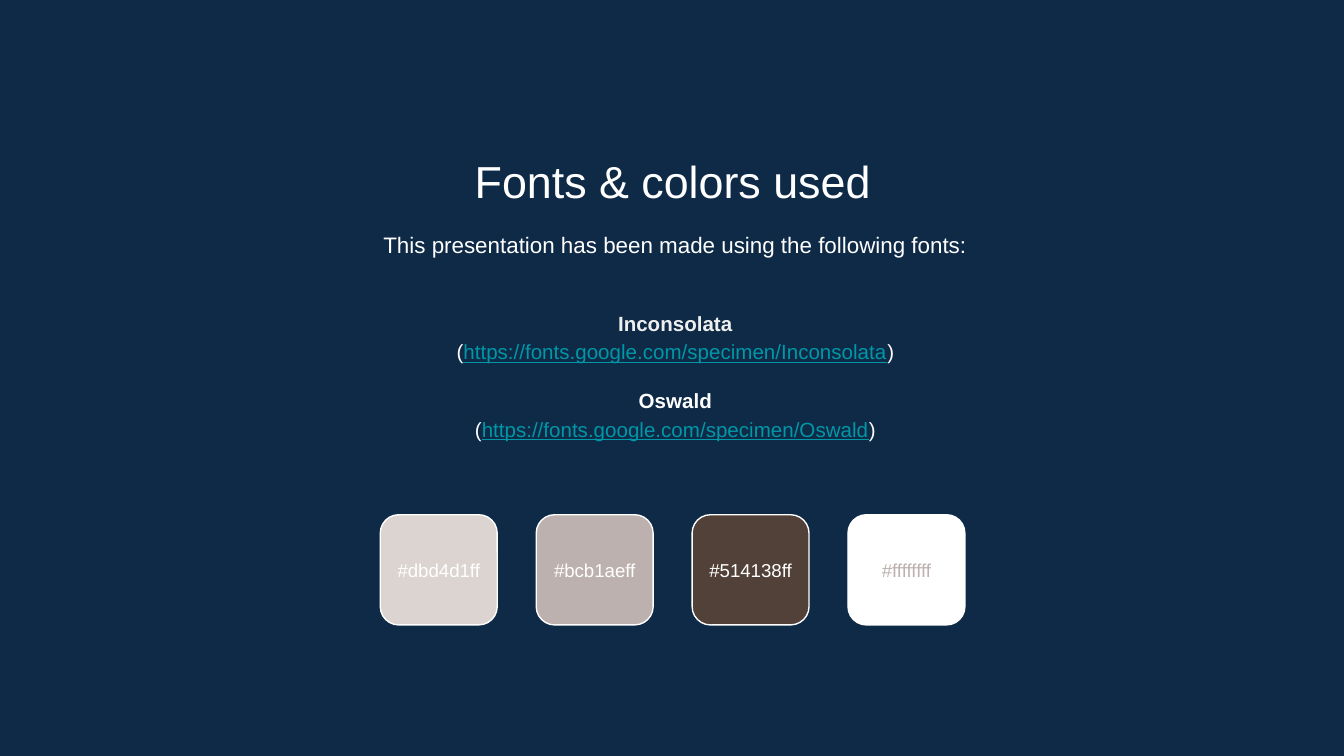
from dataclasses import dataclass

from lxml.etree import SubElement
from pptx import Presentation
from pptx.dml.color import RGBColor
from pptx.enum.shapes import MSO_SHAPE
from pptx.enum.text import MSO_ANCHOR, MSO_AUTO_SIZE, PP_ALIGN
from pptx.oxml.ns import qn
from pptx.util import Inches, Pt


@dataclass(frozen=True)
class Theme:
    font: str = "Arial"
    background: str = "0E2A47"
    white: str = "FFFFFF"
    soft_white: str = "EFEFEF"
    link: str = "0097A7"
    sand: str = "DBD4D1"
    taupe: str = "BCB1AE"
    brown: str = "514138"
    title_size: float = 24
    intro_size: float = 12
    list_size: float = 11
    label_size: float = 10


THEME = Theme()
FONTS = [
    ("Inconsolata", "https://fonts.google.com/specimen/Inconsolata", THEME.soft_white),
    ("Oswald", "https://fonts.google.com/specimen/Oswald", THEME.white),
]
SWATCHES = [
    (THEME.sand, THEME.white),
    (THEME.taupe, THEME.white),
    (THEME.brown, THEME.white),
    (THEME.white, THEME.taupe),
]


def rgb(value):
    return RGBColor.from_string(value)


def place(placeholder, left, top, width, height, anchor=MSO_ANCHOR.TOP):
    """Move a placeholder and return its prepared text frame."""
    placeholder.left, placeholder.top = Inches(left), Inches(top)
    placeholder.width, placeholder.height = Inches(width), Inches(height)
    frame = placeholder.text_frame
    frame.word_wrap = True
    frame.auto_size = MSO_AUTO_SIZE.NONE
    frame.vertical_anchor = anchor
    frame.margin_left = frame.margin_right = Inches(0.1)
    frame.margin_top = frame.margin_bottom = Inches(0.1)
    return frame


def format_paragraph(paragraph, size, color, bold=False, line_spacing=1.0, space_before=0):
    """Centre a paragraph without a bullet and set its font."""
    paragraph.alignment = PP_ALIGN.CENTER
    paragraph.line_spacing = line_spacing
    paragraph.space_before = Pt(space_before)
    paragraph.space_after = Pt(0)
    properties = paragraph._p.get_or_add_pPr()
    properties.set("marL", "0")
    properties.set("indent", "0")
    SubElement(properties, qn("a:buNone"))
    font = paragraph.font
    font.name = THEME.font
    font.size = Pt(size)
    font.bold = bold
    font.color.rgb = rgb(color)


def add_font_list(frame):
    for index, (name, address, color) in enumerate(FONTS):
        heading = frame.add_paragraph() if index else frame.paragraphs[0]
        heading.text = name
        format_paragraph(heading, THEME.list_size, color, bold=True,
                         line_spacing=1.15, space_before=11 if index else 0)
        source = frame.add_paragraph()
        format_paragraph(source, THEME.list_size, THEME.white, line_spacing=1.15)
        for text in ("(", address, ")"):
            run = source.add_run()
            run.text = text
            if text == address:
                run.font.underline = True
                run.font.color.rgb = rgb(THEME.link)


def add_swatch(slide, left, fill, label_color):
    swatch = slide.shapes.add_shape(MSO_SHAPE.ROUNDED_RECTANGLE, Inches(left),
                                    Inches(3.83), Inches(0.87), Inches(0.82))
    swatch.shadow.inherit = False
    swatch.fill.solid()
    swatch.fill.fore_color.rgb = rgb(fill)
    swatch.line.color.rgb = rgb(THEME.white)
    swatch.line.width = Pt(0.75)
    frame = swatch.text_frame
    frame.margin_left = frame.margin_right = frame.margin_top = frame.margin_bottom = 0
    frame.vertical_anchor = MSO_ANCHOR.MIDDLE
    label = frame.paragraphs[0]
    label.text = f"#{fill.lower()}ff"
    format_paragraph(label, THEME.label_size, label_color)


def main():
    presentation = Presentation()
    presentation.slide_width = Inches(10)
    presentation.slide_height = presentation.slide_width * 9 // 16
    two_content = presentation.slide_layouts[3]
    slide = presentation.slides.add_slide(two_content)
    slide.background.fill.solid()
    slide.background.fill.fore_color.rgb = rgb(THEME.background)

    title, intro, font_list = slide.placeholders
    heading = place(title, 1.15, 1.04, 7.71, 0.53).paragraphs[0]
    heading.text = "Fonts & colors used"
    format_paragraph(heading, THEME.title_size, THEME.white)

    sentence = place(intro, 1.17, 1.59, 7.71, 0.48).paragraphs[0]
    sentence.text = "This presentation has been made using the following fonts:"
    format_paragraph(sentence, THEME.intro_size, THEME.white, line_spacing=1.15)

    add_font_list(place(font_list, 1.17, 2.1, 7.71, 1.37, MSO_ANCHOR.MIDDLE))

    for index, (fill, label_color) in enumerate(SWATCHES):
        add_swatch(slide, 2.83 + 1.16 * index, fill, label_color)

    presentation.save("out.pptx")


if __name__ == "__main__":
    main()
